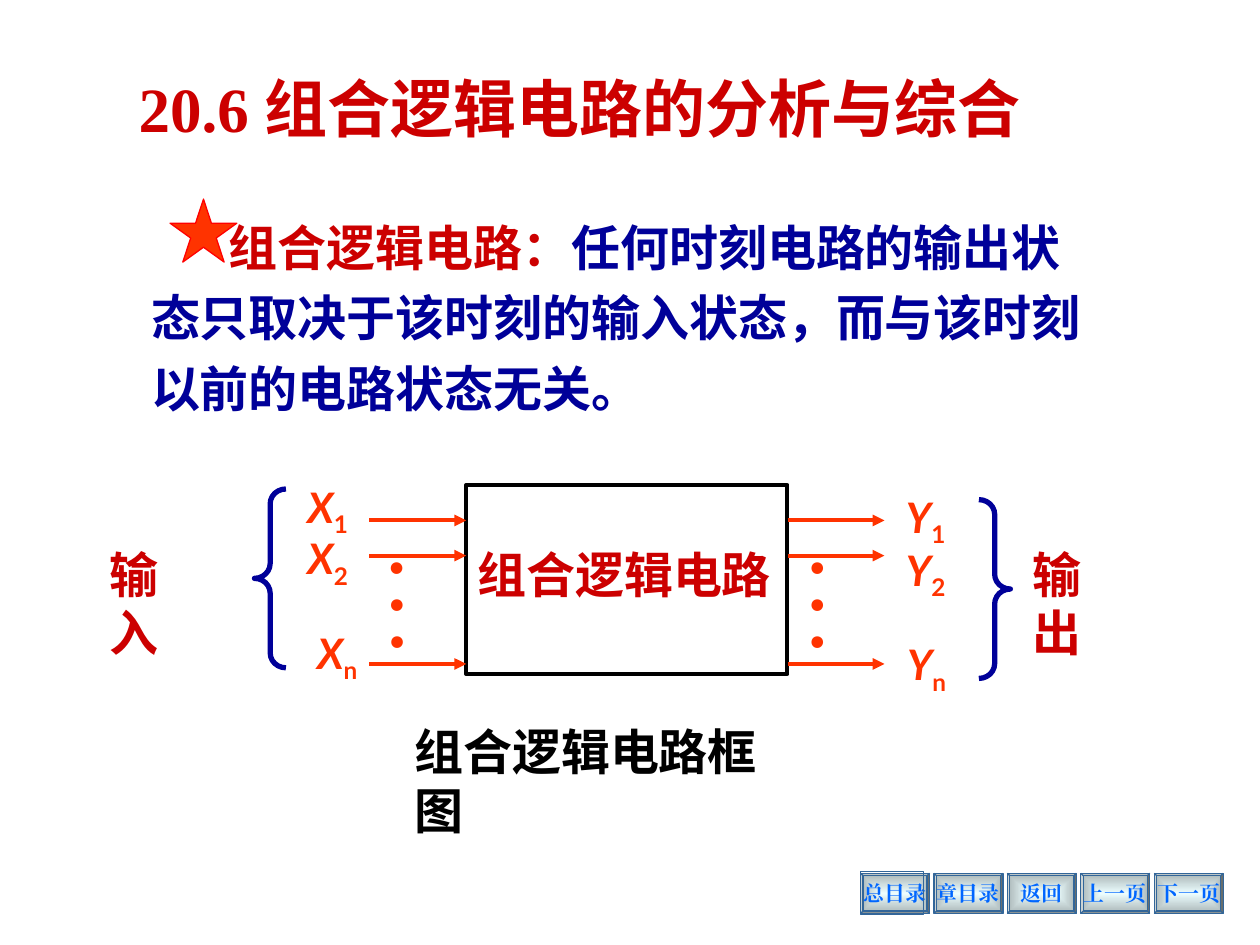
from lxml.etree import SubElement
from pptx import Presentation
from pptx.dml.color import RGBColor as Rgb
from pptx.enum.shapes import MSO_CONNECTOR as Conn, MSO_SHAPE as Kind
from pptx.enum.text import MSO_ANCHOR as Anchor, MSO_AUTO_SIZE as Fit, PP_ALIGN as Align
from pptx.oxml.ns import qn
from pptx.util import Pt

HUES = {"red": "CC0000", "navy": "000099", "flame": "FF3300", "rim": "FF0000",
        "black": "000000", "steel": "336699", "link": "0066FF",
        "pale": "ECFDFE", "grey": "AAB6B7"}
LATIN, HAN, SERIF = "Lato", "Noto Sans CJK JP", "Times New Roman"


def hue(name):
    return Rgb.from_string(HUES[name])


def add_run(para, text, size, color, face=LATIN, base=0, **extra):
    run = para.add_run()
    run.text = text
    look = {"size": Pt(size), "name": face, "bold": True, **extra}
    for key, value in look.items():
        setattr(run.font, key, value)
    run.font.color.rgb = hue(color)
    props = run._r.get_or_add_rPr()
    SubElement(props, qn("a:ea")).set("typeface", face)
    if base:
        props.set("baseline", str(base * 1000))


def add_text(slide, box, runs, wrap=False, turn=0):
    """Place a text box; each run is (text, size, color, extra formats)."""
    shape = slide.shapes.add_textbox(*map(Pt, box))
    shape.rotation = turn
    frame = shape.text_frame
    frame.word_wrap = wrap
    frame.auto_size = Fit.SHAPE_TO_FIT_TEXT
    para = frame.paragraphs[0]
    for text, size, color, extra in runs:
        add_run(para, text, size, color, **extra)
    return para


def add_form(slide, kind, box, line, width, fill=None):
    shape = slide.shapes.add_shape(kind, *map(Pt, box))
    shape.shadow.inherit = False
    shape.line.color.rgb = hue(line)
    shape.line.width = Pt(width)
    if fill:
        shape.fill.solid()
        shape.fill.fore_color.rgb = hue(fill)
    else:
        shape.fill.background()
    return shape


def add_arrow(slide, left, right, y):
    arrow = slide.shapes.add_connector(Conn.STRAIGHT, Pt(left), Pt(y), Pt(right), Pt(y))
    arrow.line.color.rgb = hue("flame")
    arrow.line.width = Pt(2.25)
    SubElement(arrow.line._get_or_add_ln(), qn("a:tailEnd")).set("type", "triangle")
    SubElement(arrow._element.spPr, qn("a:effectLst"))


def add_brace(slide, kind, box):
    brace = add_form(slide, kind, box, "navy", 3)
    brace.adjustments[0] = 0.47


def add_sign(slide, left, top, letter, mark):
    add_text(slide, (left, top, 40, 40.3),
             [(letter, 24, "flame", {"italic": True}),
              (mark, 24, "flame", {"base": -25})])


def add_button(slide, left, label):
    shape = add_form(slide, Kind.BEVEL, (left, 499, 39.4, 23), "steel", 0.75)
    shape.adjustments[0] = 0.06
    # Gradient that runs from the centre to the rim
    shape.fill.gradient()
    for stop, name in zip(shape.fill.gradient_stops, ("pale", "grey")):
        stop.color.rgb = hue(name)
    grad = shape._element.spPr.find(qn("a:gradFill"))
    grad.remove(grad.find(qn("a:lin")))
    way = SubElement(grad, qn("a:path"))
    way.set("path", "rect")
    rect = SubElement(way, qn("a:fillToRect"))
    for side in "ltrb":
        rect.set(side, "50000")
    frame = shape.text_frame
    frame.word_wrap = False
    frame.vertical_anchor = Anchor.MIDDLE
    para = frame.paragraphs[0]
    para.alignment = Align.CENTER
    add_run(para, label, 12, "link", SERIF)


def add_title(slide):
    title = slide.shapes.title
    box = {"left": 72, "top": 36, "width": 576, "height": 36}
    for key, value in box.items():
        setattr(title, key, Pt(value))
    frame = title.text_frame
    frame.auto_size = Fit.NONE
    frame.vertical_anchor = Anchor.TOP
    para = frame.paragraphs[0]
    para.alignment = Align.LEFT
    add_run(para, "20.6 ", 36, "red", SERIF)
    add_run(para, "组合逻辑电路的分析与综合", 36, "red", HAN)


def add_term(slide):
    para = add_text(slide, (79.2, 113.8, 558, 128), [
        ("组合逻辑电路：", 28, "red", {}),
        ("任何时刻电路的输出状态只取决于该时刻的输入状态，而与该时刻以前的电路状态无关。",
         28, "navy", {})], wrap=True)
    para.line_spacing = 1.2
    para._p.get_or_add_pPr().set("indent", str(Pt(44.5)))
    add_form(slide, Kind.STAR_5_POINT, (97.2, 113.8, 38.2, 36), "rim", 0.75, "flame")


def add_chart_block(slide):
    # Block with its arrows in and out
    add_form(slide, Kind.RECTANGLE, (266.4, 277.2, 183.6, 108), "black", 2.25)
    for y in (297.4, 317.5, 379.4):
        add_arrow(slide, 211, 266.4, y)
        add_arrow(slide, 450, 505.4, y)
    # Signal names
    for mark, left, top in (("1", 168.5, 271.4), ("2", 168.5, 301), ("n", 174.2, 355)):
        add_sign(slide, left, top, "X", mark)
    for mark, left, top in (("1", 510.5, 277.2), ("2", 510.5, 307.4), ("n", 511.2, 361.4)):
        add_sign(slide, left, top, "Y", mark)
    # Upright dots
    for box, wrap, turn in (((439.2, 324.7, 84.2, 60.5), True, 90),
                            ((203, 320.4, 76.3, 60.5), False, 89.7)):
        add_text(slide, box, [(". . .", 44, "flame", {})], wrap, turn)
    # Braces and labels
    add_brace(slide, Kind.LEFT_BRACE, (145.4, 279.4, 18, 102.2))
    add_brace(slide, Kind.RIGHT_BRACE, (559.4, 285.5, 18, 102.2))
    for text, left, top, width, color in (
            ("输入", 55.4, 307.4, 69.8, "red"),
            ("组合逻辑电路", 265.7, 307.4, 182.2, "red"),
            ("输出", 583.2, 307.4, 69.8, "red"),
            ("组合逻辑电路框图", 229.7, 409, 237.6, "black")):
        add_text(slide, (left, top, width, 41), [(text, 28, color, {})])


def main():
    deck = Presentation()
    deck.slide_width, deck.slide_height = Pt(720), Pt(540)
    slide = deck.slides.add_slide(deck.slide_layouts[5])
    # Page buttons
    for i, label in enumerate(("总目录", "章目录", "返回", "上一页", "下一页")):
        add_button(slide, 491.8 + 41.95 * i, label)
    add_form(slide, Kind.RECTANGLE, (491.8, 498.2, 36, 24.5), "steel", 0.75)
    # Content
    add_title(slide)
    add_term(slide)
    add_chart_block(slide)
    deck.save("out.pptx")


if __name__ == "__main__":
    main()
